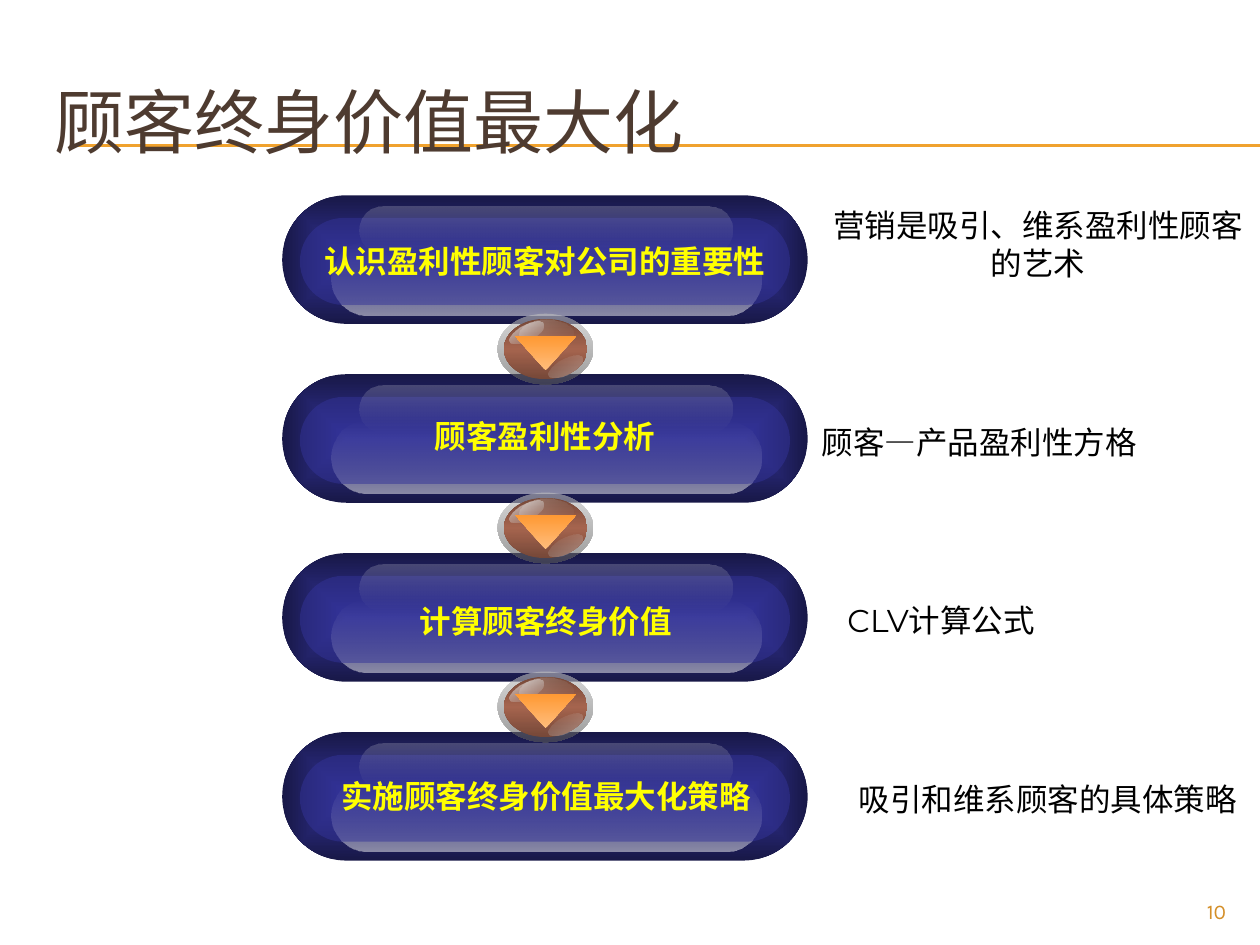
from pptx import Presentation
from pptx.dml.color import RGBColor
from pptx.enum.shapes import MSO_CONNECTOR, MSO_SHAPE
from pptx.enum.text import MSO_ANCHOR, MSO_AUTO_SIZE, PP_ALIGN
from pptx.oxml import parse_xml
from pptx.oxml.ns import nsdecls, qn
from pptx.util import Inches, Pt

PILL, OVAL, TRIANGLE = MSO_SHAPE.ROUNDED_RECTANGLE, MSO_SHAPE.OVAL, MSO_SHAPE.FLOWCHART_MERGE
TRIANGLE = MSO_SHAPE.ISOSCELES_TRIANGLE
PITCH = 1.42


def add_layer(shapes, kind, box, stops, angle=90):
    """Add a borderless shape; stops are (position, hex, opacity %), angle None means radial."""
    layer = shapes.add_shape(kind, *map(Inches, box))
    layer.shadow.inherit = False
    layer.line.fill.background()
    if kind == PILL:
        layer.adjustments[0] = 0.5
    colours = [f'<a:srgbClr val="{colour}"><a:alpha val="{opacity * 1000}"/></a:srgbClr>'
               for _, colour, opacity in stops]
    if len(stops) == 1:
        fill = f'<a:solidFill {nsdecls("a")}>{colours[0]}</a:solidFill>'
    else:
        marks = "".join(f'<a:gs pos="{stop[0] * 1000}">{colour}</a:gs>'
                        for stop, colour in zip(stops, colours))
        direction = (f'<a:lin ang="{angle * 60000}" scaled="1"/>' if angle is not None else
                     '<a:path path="shape"><a:fillToRect l="50000" t="50000" '
                     'r="50000" b="50000"/></a:path>')
        fill = (f'<a:gradFill {nsdecls("a")} rotWithShape="1"><a:gsLst>{marks}</a:gsLst>'
                f'{direction}</a:gradFill>')
    layer.element.spPr.find(qn("a:prstGeom")).addnext(parse_xml(fill))
    return layer


def add_label(box, text, font, colour, bold):
    label = slide.shapes.add_textbox(*map(Inches, box))
    frame = label.text_frame
    frame.text = text
    frame.word_wrap = False
    frame.auto_size = MSO_AUTO_SIZE.SHAPE_TO_FIT_TEXT
    frame.vertical_anchor = MSO_ANCHOR.MIDDLE
    frame.margin_left = frame.margin_top = frame.margin_right = frame.margin_bottom = 0
    for paragraph in frame.paragraphs:
        paragraph.alignment = PP_ALIGN.CENTER
        run = paragraph.runs[0]
        run.font.size = Pt(18)
        run.font.bold = bold
        run.font.name = font
        run.font.color.rgb = RGBColor.from_string(colour)
        run.font.fill._xPr.find(qn("a:solidFill")).addnext(parse_xml(
            f'<a:effectLst {nsdecls("a")}><a:outerShdw dist="25400" dir="2700000">'
            '<a:srgbClr val="000000"/></a:outerShdw></a:effectLst>'))


prs = Presentation()
prs.slide_width, prs.slide_height = Inches(10), Inches(7.5)
slide = prs.slides.add_slide(prs.slide_layouts[5])

# Title over a double rule
title = slide.shapes.title
title.left, title.top, title.width, title.height = map(Inches, (0.33, 0.5, 9.5, 0.92))
title.text_frame.text = "顾客终身价值最大化"
title.text_frame.vertical_anchor = MSO_ANCHOR.MIDDLE
heading = title.text_frame.paragraphs[0]
heading.alignment = PP_ALIGN.LEFT
heading.runs[0].font.size = Pt(40)
heading.runs[0].font.name = "Karla"
heading.runs[0].font.color.rgb = RGBColor.from_string("4E3B30")

for y in (1.15, 1.16):
    rule = slide.shapes.add_connector(
        MSO_CONNECTOR.STRAIGHT, Inches(0.56), Inches(y), Inches(10), Inches(y))
    rule.line.color.rgb = RGBColor.from_string("F0A22E")
    rule.line.width = Pt(0.75)
    rule.element.spPr.append(parse_xml(f'<a:effectLst {nsdecls("a")}/>'))
    title.element.addprevious(rule.element)

page = slide.shapes.add_textbox(Inches(9), Inches(7.08), Inches(0.83), Inches(0.27))
page.text_frame.text = "10"
page.text_frame.word_wrap = True
number = page.text_frame.paragraphs[0]
number.alignment = PP_ALIGN.RIGHT
number.runs[0].font.size = Pt(12)
number.runs[0].font.name = "Karla"
number.runs[0].font.color.rgb = RGBColor.from_string("D48F29")

# Glossy step pills
for step in range(4):
    top = 1.55 + step * PITCH
    add_layer(slide.shapes, PILL, (2.24, top, 4.17, 1.02),
              [(0, "333399", 100), (100, "181847", 100)], None)
    add_layer(slide.shapes, PILL, (2.63, top + 0.37, 3.41, 0.58),
              [(0, "D1D1D1", 0), (100, "FFFFFF", 50)])
    add_layer(slide.shapes, PILL, (2.38, top + 0.18, 3.89, 0.69), [(0, "333399", 50)])
    add_layer(slide.shapes, PILL, (2.85, top + 0.09, 2.96, 0.37),
              [(0, "FFFFFF", 20), (100, "B6B6B6", 0)])

# Round arrow buttons between the steps
for gap in range(3):
    top = 2.49 + gap * PITCH
    button = slide.shapes.add_group_shape().shapes
    add_layer(button, OVAL, (3.95, top, 0.76, 0.56), [(0, "C0C0C0", 60), (100, "595959", 60)])
    add_layer(button, OVAL, (4, top + 0.04, 0.66, 0.48),
              [(0, "764838", 100), (50, "A5644E", 100), (100, "764838", 100)])
    add_layer(button, OVAL, (4.12, top + 0.05, 0.43, 0.23),
              [(0, "FFFFFF", 30), (100, "B6B6B6", 0)], 45)
    upper_glint = add_layer(button, OVAL, (4.03, top + 0.09, 0.3, 0.12),
                            [(0, "FFFFFF", 80), (100, "B6B6B6", 0)])
    lower_glint = add_layer(button, OVAL, (4.34, top + 0.36, 0.3, 0.12),
                            [(0, "FFFFFF", 40), (100, "B6B6B6", 0)])
    upper_glint.rotation = lower_glint.rotation = 334.1
    arrow = add_layer(button, TRIANGLE, (4.09, top + 0.18, 0.48, 0.27),
                      [(0, "FFBD7C", 100), (100, "FF9933", 100)])
    lower_glint.element.spPr.xfrm.set("flipH", "1")
    for flipped in (lower_glint, arrow):
        flipped.element.spPr.xfrm.set("flipV", "1")

steps = [
    ((2.56, 1.92, 3.53, 0.3), "认识盈利性顾客对公司的重要性"),
    ((3.44, 3.31, 1.77, 0.3), "顾客盈利性分析"),
    ((3.32, 4.78, 2.02, 0.3), "计算顾客终身价值"),
    ((2.65, 6.17, 3.37, 0.3), "实施顾客终身价值最大化策略"),
]
remarks = [
    ((6.6, 1.63, 3.28, 0.61), "营销是吸引、维系盈利性顾客\n的艺术"),
    ((6.46, 3.36, 2.62, 0.3), "顾客—产品盈利性方格"),
    ((6.69, 4.77, 1.56, 0.3), "CLV计算公式"),
    ((6.8, 6.19, 3.03, 0.3), "吸引和维系顾客的具体策略"),
]
for box, text in steps:
    add_label(box, text, "Arial", "FFFF00", True)
for box, text in remarks:
    add_label(box, text, "Montserrat", "000000", False)

prs.save("out.pptx")
